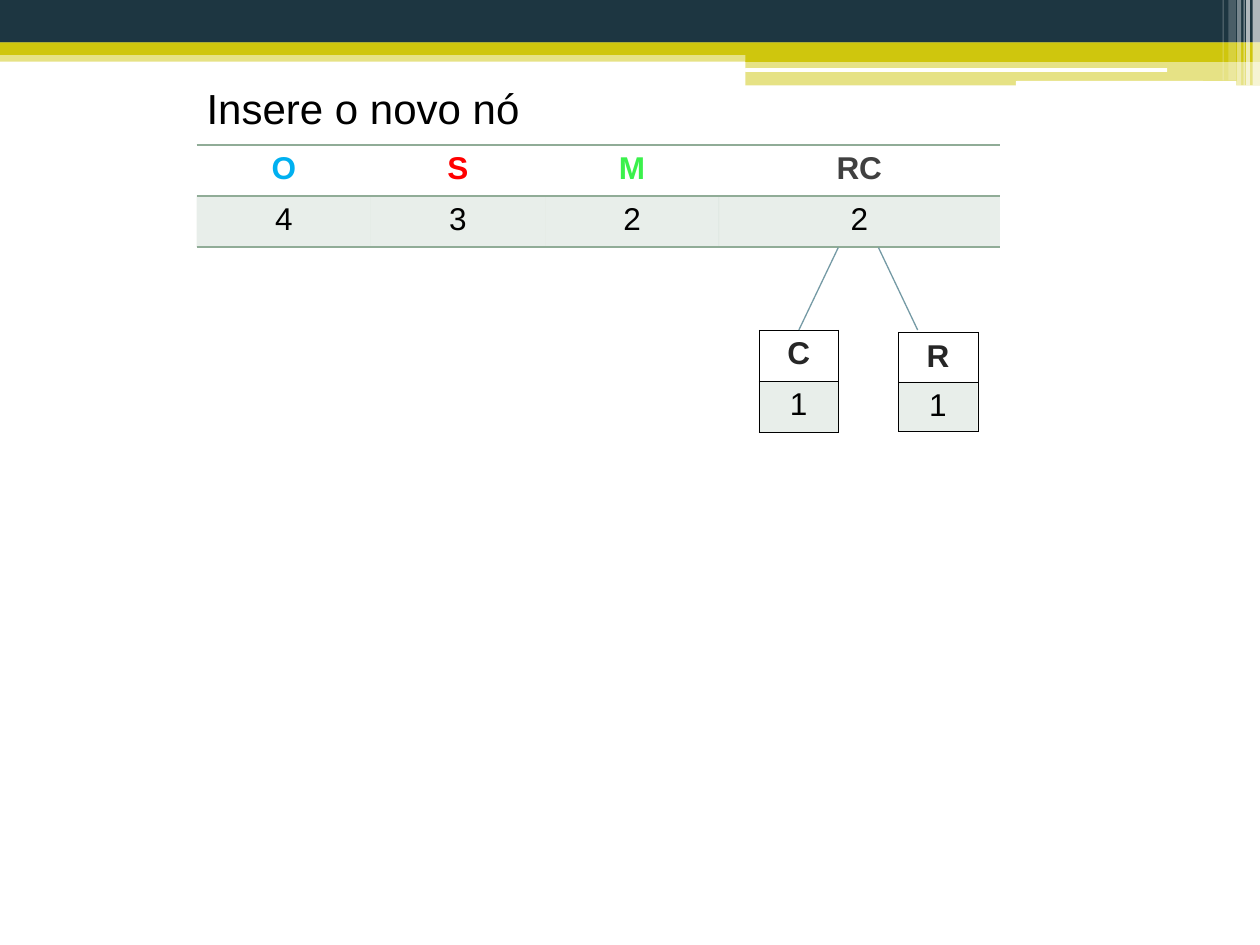
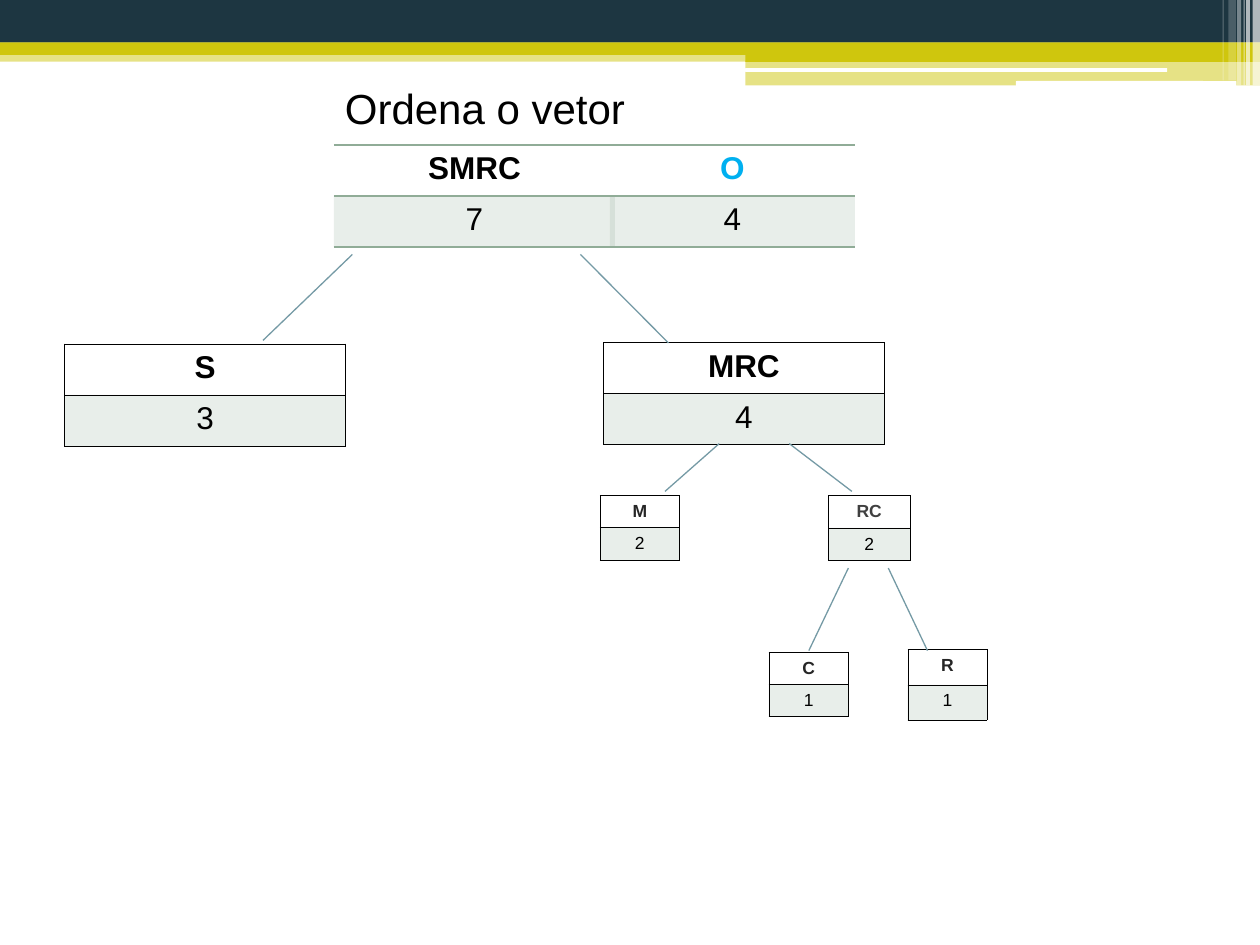
from dataclasses import dataclass
from typing import Any, NamedTuple

from lxml import etree
from pptx import Presentation
from pptx.dml.color import RGBColor
from pptx.enum import shapes, text
from pptx.oxml import ns
from pptx.util import Pt

# Shared look
FONT = "Arial"
NAVY, LIME, WHITE, BLACK = "1D3641", "CFC60D", "FFFFFF", "000000"
SAGE, STEEL = "90AC97", "759AA5"
BLUE, RED, GREEN = "00B0F0", "FF0000", "3BF14C"
GREY, DARK = "404040", "262626"
PLAIN_TABLE = "{2D5ABB26-0587-4C30-8999-92F81FD0307C}"  # no style, no grid
ROW = 29.2


class Band(NamedTuple):
    left: float
    top: float
    width: float
    height: float
    color: str
    opacity: int = 100
    rounded: bool = False


class Symbol(NamedTuple):
    label: str
    count: int
    color: str = BLACK


class Edge(NamedTuple):
    x1: float
    y1: float
    x2: float
    y2: float


@dataclass
class Node:
    """A header row of symbols over a tinted row of counts."""
    left: float
    top: float
    width: float
    symbols: list[Symbol]
    row: float = ROW
    size: int = 18
    boxed: bool = True


@dataclass
class Page:
    title: str
    title_left: float
    nodes: list[Node]
    edges: list[Edge]


BANDS = [
    Band(0, 28.8, 720, 6.5, LIME, 50),
    Band(0, 0, 720, 24.4, NAVY),
    Band(0, 24.2, 720, 7.2, LIME),
    Band(426, 28, 294, 7.4, LIME),
    Band(426, 34.6, 294, 14.2, LIME, 50),
    Band(425.8, 38.9, 241.2, 2.2, WHITE, rounded=True),
    Band(580.5, 46.3, 126, 2.8, WHITE, rounded=True),
    # Pale stripes at the right edge
    Band(715.8, 0, 4.2, 48.8, WHITE, 65),
    Band(712.1, 0, 2.2, 48.8, WHITE, 65),
    Band(710.6, 0, 0.7, 48.8, WHITE, 60),
    Band(707, 0, 2.2, 48.8, WHITE, 40),
    Band(702, 0, 4.3, 46, WHITE, 20),
    Band(698.6, 0, 0.7, 46, WHITE, 30),
]


# Drawing helpers
def rgb(color: str) -> RGBColor:
    return RGBColor.from_string(color)


def paint(fill: Any, props: Any, color: str, opacity: int = 100) -> None:
    fill.solid()
    fill.fore_color.rgb = rgb(color)
    if opacity < 100:
        tone = props.find(ns.qn("a:solidFill"))[0]
        etree.SubElement(tone, ns.qn("a:alpha"), val=str(opacity * 1000))


def style(p: Any, size: int, color: str, bold: bool = False) -> None:
    for r in p.runs:
        r.font.name = FONT
        r.font.size = Pt(size)
        r.font.bold = bold
        r.font.color.rgb = rgb(color)


def draw_band(s: Any, band: Band) -> None:
    kind = shapes.MSO_SHAPE
    preset = kind.ROUNDED_RECTANGLE if band.rounded else kind.RECTANGLE
    sp = s.shapes.add_shape(preset, Pt(band.left), Pt(band.top),
                            Pt(band.width), Pt(band.height))
    sp.shadow.inherit = False
    sp.line.fill.background()
    paint(sp.fill, sp._element.spPr, band.color, band.opacity)


def draw_edge(s: Any, edge: Edge) -> None:
    line = s.shapes.add_connector(shapes.MSO_CONNECTOR.STRAIGHT,
                                  *(Pt(value) for value in edge))
    line.line.color.rgb = rgb(STEEL)
    line.line.width = Pt(0.75)
    etree.SubElement(line._element.spPr, ns.qn("a:effectLst"))


def add_borders(props: Any, boxed: bool) -> None:
    sides, color, width = ("LRTB", BLACK, 0.25) if boxed else ("TB", SAGE, 1)
    for side in sides:
        border = etree.SubElement(props, ns.qn(f"a:ln{side}"), w=str(Pt(width)))
        solid = etree.SubElement(border, ns.qn("a:solidFill"))
        etree.SubElement(solid, ns.qn("a:srgbClr"), val=color)


def draw_node(s: Any, node: Node) -> None:
    columns = len(node.symbols)
    table = s.shapes.add_table(2, columns, Pt(node.left), Pt(node.top),
                               Pt(node.width), Pt(2 * node.row)).table
    table._tbl.tblPr.find(ns.qn("a:tableStyleId")).text = PLAIN_TABLE
    table.horz_banding = False
    for column, symbol in enumerate(node.symbols):
        table.columns[column].width = Pt(node.width / columns)
        rows = [(symbol.label, symbol.color), (str(symbol.count), BLACK)]
        for row, (content, color) in enumerate(rows):
            table.rows[row].height = Pt(node.row)
            cell = table.cell(row, column)
            props = cell._tc.get_or_add_tcPr()
            add_borders(props, node.boxed)
            if row == 0:
                cell.fill.background()
            else:
                paint(cell.fill, props, SAGE, 20)
            p = cell.text_frame.paragraphs[0]
            p.text = content
            p.alignment = text.PP_ALIGN.CENTER
            style(p, node.size, color, bold=row == 0)


def draw_title(s: Any, title: str, left: float) -> None:
    tf = s.shapes.add_textbox(Pt(left), Pt(43.5), Pt(453.6), Pt(36.3)).text_frame
    tf.word_wrap = True
    tf.auto_size = text.MSO_AUTO_SIZE.SHAPE_TO_FIT_TEXT
    tf.text = title
    style(tf.paragraphs[0], 24, BLACK)


def draw_page(prs: Any, page: Page) -> None:
    s = prs.slides.add_slide(prs.slide_layouts[6])
    for band in BANDS:
        draw_band(s, band)
    for node in page.nodes:
        draw_node(s, node)
    for edge in page.edges:
        draw_edge(s, edge)
    draw_title(s, page.title, page.title_left)


# Symbols used in the trees
O = Symbol("O", 4, BLUE)
RC = Symbol("RC", 2, GREY)
C = Symbol("C", 1, DARK)
R = Symbol("R", 1, DARK)

PAGES = [
    Page(
        "Insere o novo nó", 111,
        [
            Node(112.4, 82.8, 298.6,
                 [O, Symbol("S", 3, RED), Symbol("M", 2, GREEN)], boxed=False),
            Node(410.7, 82.8, 160.6, [RC], boxed=False),
            Node(433.7, 188.6, 45.4, [C]),
            Node(513.3, 189.8, 45.4, [R], row=28.4),
        ],
        [Edge(479, 141.5, 456.5, 188.6), Edge(502, 141.5, 524.4, 188.6)],
    ),
    Page(
        "Ordena o vetor", 190,
        [
            Node(348.5, 82.8, 140, [O], boxed=False),
            Node(190.8, 82.8, 160.6, [Symbol("SMRC", 7)], boxed=False),
            Node(36.9, 196.4, 160.6, [Symbol("S", 3)]),
            Node(344.8, 195.7, 160.6, [Symbol("MRC", 4)]),
            Node(342.9, 283, 45.4, [Symbol("M", 2, DARK)], row=18.5, size=10),
            Node(473.3, 283, 46.8, [RC], row=18.7, size=10),
            Node(439.4, 372.6, 45.4, [C], row=18.4, size=10),
            Node(518.7, 371, 45.4, [R], row=20.3, size=10),
        ],
        [
            Edge(201.4, 145.4, 150.3, 194.5),
            Edge(331.7, 145.4, 382, 196),
            Edge(411, 253.5, 380, 280.8),
            Edge(451, 253.5, 486.8, 280.8),
            Edge(484.8, 324.6, 462.2, 371.8),
            Edge(507.6, 324.6, 530, 371.8),
        ],
    ),
]

prs = Presentation()
prs.slide_width, prs.slide_height = Pt(720), Pt(540)
for page in PAGES:
    draw_page(prs, page)
prs.save("out.pptx")
